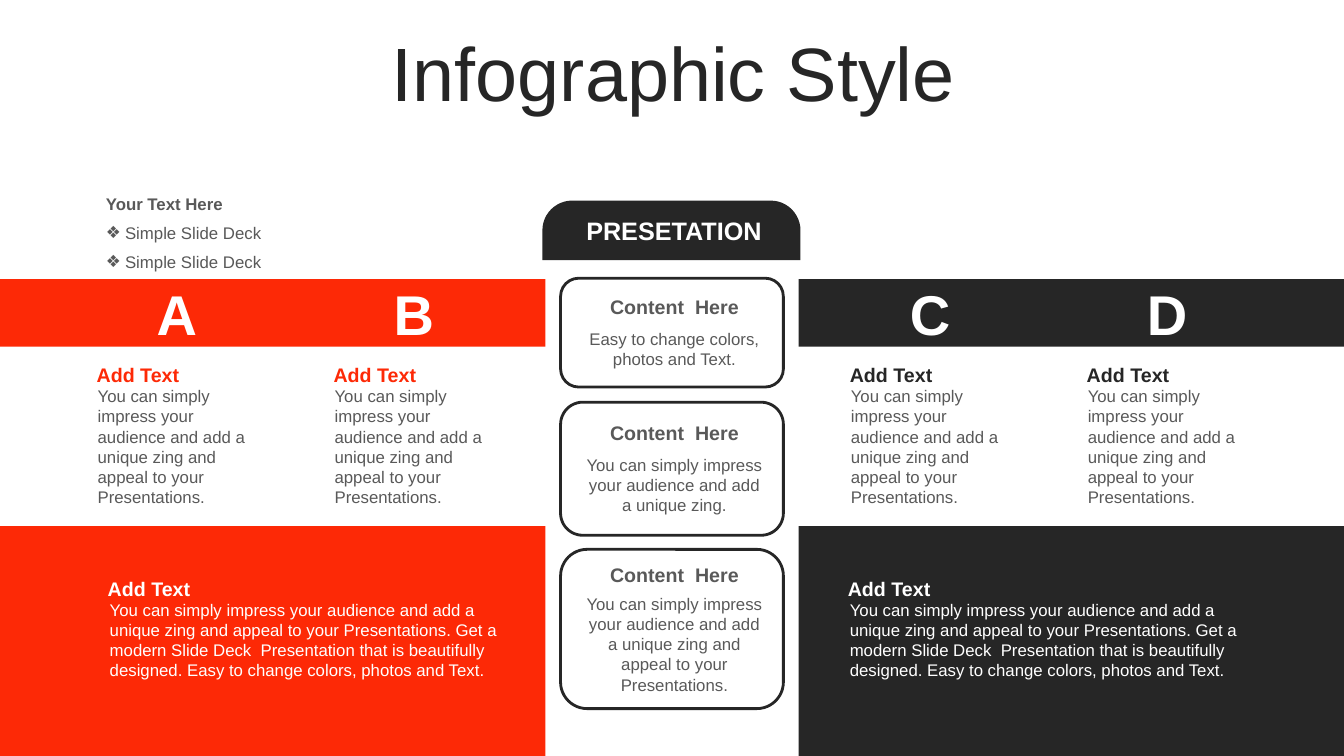
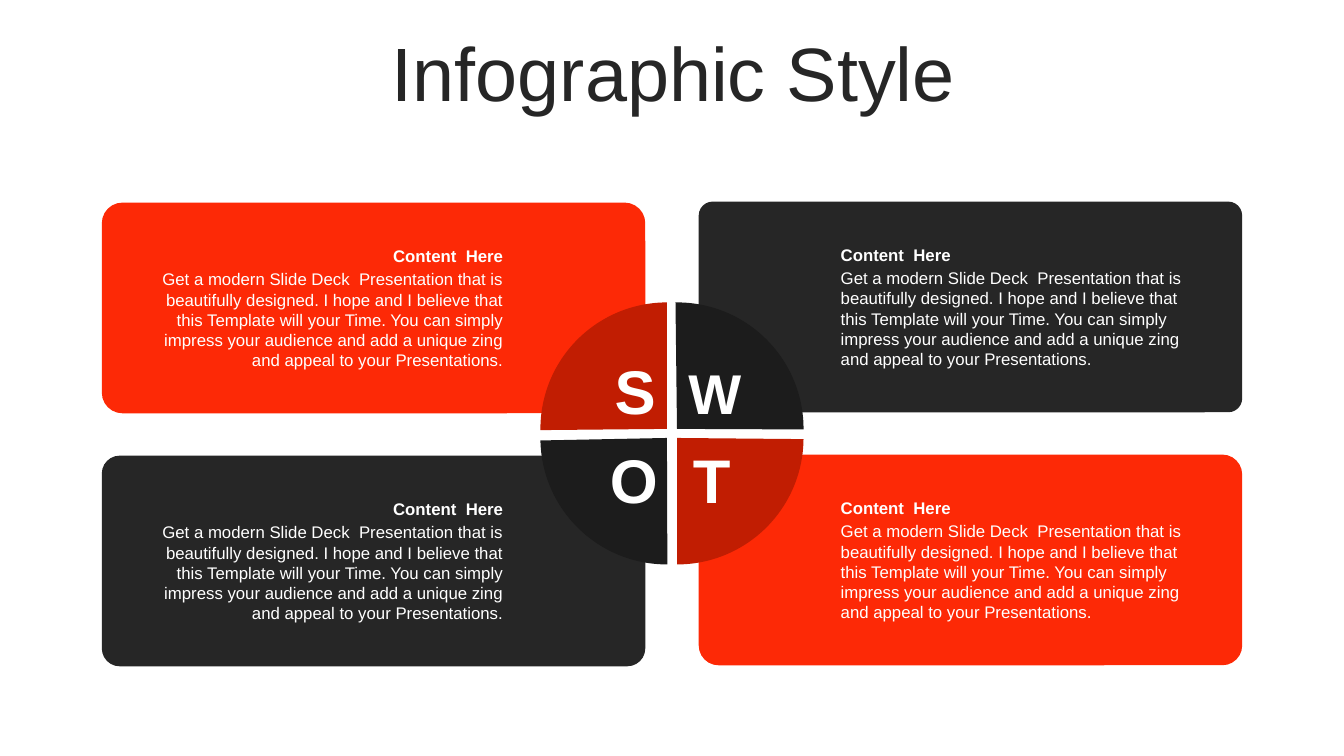
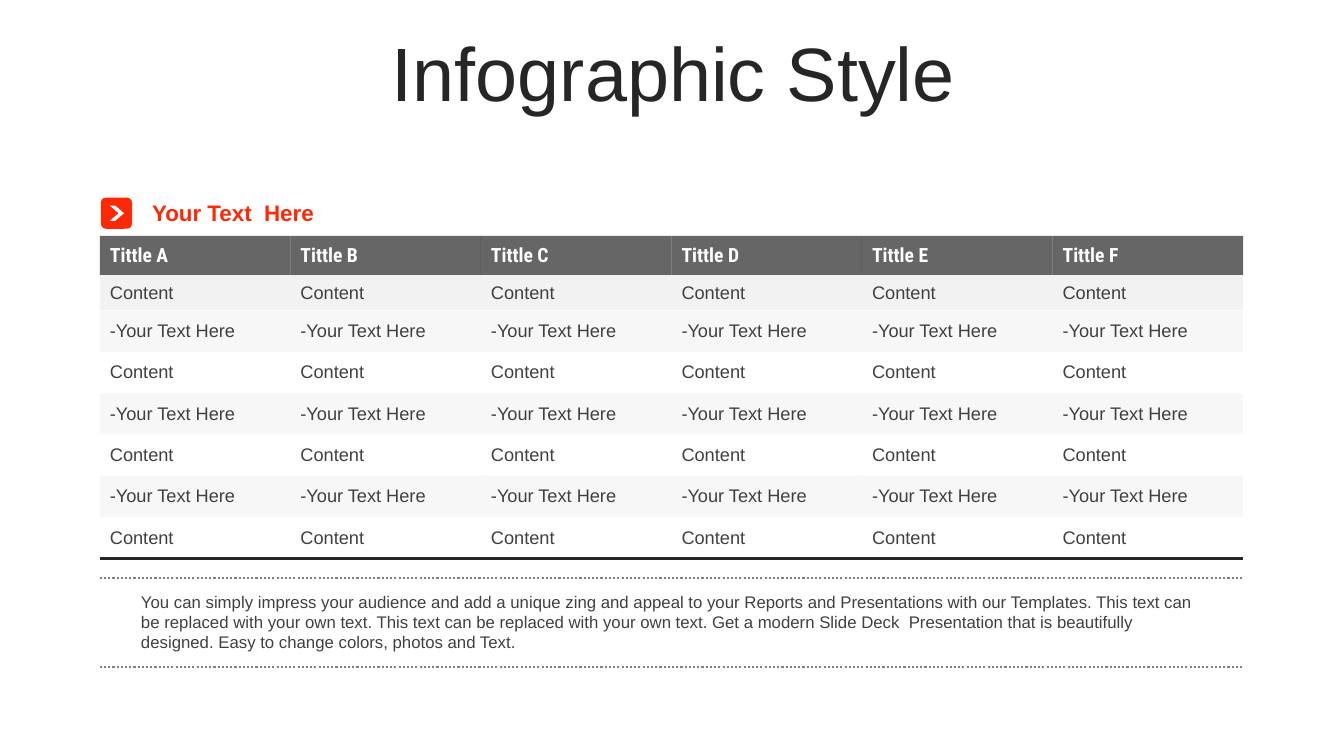
from dataclasses import dataclass

from lxml import etree
from pptx import Presentation
from pptx.dml.color import RGBColor
from pptx.enum import dml, shapes, text
from pptx.oxml.ns import qn
from pptx.util import Inches, Pt

RED = RGBColor(0xFD, 0x29, 0x06)
DARK_RED = RGBColor(0xC1, 0x1D, 0x02)
BLACK = RGBColor(0x26, 0x26, 0x26)
DEEP_BLACK = RGBColor(0x1C, 0x1C, 0x1C)
BODY_GRAY = RGBColor(0x59, 0x59, 0x59)
TABLE_GRAY = RGBColor(0x40, 0x40, 0x40)
RULE_GRAY = RGBColor(0x80, 0x80, 0x80)
ROW_GRAY = RGBColor(0xF2, 0xF2, 0xF2)
BAND_GRAY = RGBColor(0xD9, 0xD9, 0xD9)
WHITE = RGBColor(0xFF, 0xFF, 0xFF)

FONT = "Arial"
HEADER_FONT = "Roboto Condensed"
TITLE = "Infographic Style"
CONTENT_LAYOUT, TITLE_LAYOUT = 1, 5
NO_GRID_STYLE = "{2D5ABB26-0587-4C30-8999-92F81FD0307C}"

IMPRESS = "You can simply impress your audience and add a unique zing"
APPEAL = f"{IMPRESS} and appeal to your Presentations."
MODERN = "Get a modern Slide Deck  Presentation that is beautifully designed."
EASY = "Easy to change colors, photos and Text."

LEFT, CENTER, RIGHT = text.PP_ALIGN.LEFT, text.PP_ALIGN.CENTER, text.PP_ALIGN.RIGHT
TOP, MIDDLE = text.MSO_ANCHOR.TOP, text.MSO_ANCHOR.MIDDLE
SHAPE = shapes.MSO_SHAPE


@dataclass(frozen=True)
class Box:
    left: float
    top: float
    width: float
    height: float

    def lengths(self) -> tuple:
        return tuple(Inches(v) for v in (self.left, self.top, self.width, self.height))


@dataclass(frozen=True)
class Style:
    size: float = 12
    color: RGBColor = BODY_GRAY
    bold: bool = False
    align: text.PP_ALIGN = LEFT
    anchor: text.MSO_ANCHOR = TOP
    font: str = FONT


@dataclass(frozen=True)
class Card:
    """Rounded box with a centred heading and body text."""
    box: Box
    heading_top: float
    body_top: float
    body: str


@dataclass(frozen=True)
class Column:
    letter: str
    left: float
    color: RGBColor


@dataclass(frozen=True)
class Quadrant:
    """One SWOT panel with its pie slice and letter."""
    letter: str
    panel: Box
    corner: float
    color: RGBColor
    slice_color: RGBColor
    slice_left: float
    slice_top: float
    angles: tuple[float, float]
    letter_box: Box
    letter_size: int
    text_left: float
    align: text.PP_ALIGN


# Shared drawing helpers

def format_paragraph(paragraph, style: Style) -> None:
    paragraph.alignment = style.align
    for run in paragraph.runs:
        font = run.font
        font.name, font.size, font.bold = style.font, Pt(style.size), style.bold
        font.color.rgb = style.color


def add_text(slide, box: Box, content: str, style: Style, side_only: bool = False) -> None:
    frame = slide.shapes.add_textbox(*box.lengths()).text_frame
    frame.word_wrap = True
    frame.vertical_anchor = style.anchor
    if side_only:
        frame.margin_top = frame.margin_bottom = 0
    frame.text = content
    format_paragraph(frame.paragraphs[0], style)


def add_shape(slide, kind, box: Box, fill: RGBColor | None = None,
              line: RGBColor | None = None, adjustments: tuple = ()) -> None:
    shape = slide.shapes.add_shape(kind, *box.lengths())
    shape.shadow.inherit = False
    for index, value in enumerate(adjustments):
        shape.adjustments[index] = value
    if fill is None:
        shape.fill.background()
    else:
        shape.fill.solid()
        shape.fill.fore_color.rgb = fill
    if line is None:
        shape.line.fill.background()
    else:
        shape.line.color.rgb = line
        shape.line.width = Pt(2)


def add_dotted_rule(slide, left: float, top: float, width: float) -> None:
    rule = slide.shapes.add_connector(
        shapes.MSO_CONNECTOR.STRAIGHT,
        Inches(left), Inches(top), Inches(left + width), Inches(top))
    rule.line.color.rgb = RULE_GRAY
    rule.line.width = Pt(1.5)
    rule.line.dash_style = dml.MSO_LINE.ROUND_DOT
    etree.SubElement(rule.element.spPr, qn("a:effectLst"))


def add_slide(presentation, layout: int):
    slide = presentation.slides.add_slide(presentation.slide_layouts[layout])
    title = slide.shapes.title
    title.left, title.top, title.width, title.height = Box(0.35, 0.37, 12.66, 0.79).lengths()
    frame = title.text_frame
    frame.text = TITLE
    frame.auto_size = text.MSO_AUTO_SIZE.NONE
    frame.vertical_anchor = MIDDLE
    frame.paragraphs[0].line_spacing = 0.9
    format_paragraph(frame.paragraphs[0], Style(54, BLACK, align=CENTER))
    return slide


# Slide 1: lettered columns around three cards

def fill_list(placeholder) -> None:
    box = Box(0.95, 1.87, 1.91, 0.86)
    placeholder.left, placeholder.top, placeholder.width, placeholder.height = box.lengths()
    frame = placeholder.text_frame
    frame.text = "Your Text Here\nSimple Slide Deck\nSimple Slide Deck"
    frame.auto_size = text.MSO_AUTO_SIZE.NONE
    frame.vertical_anchor = TOP
    for index, paragraph in enumerate(frame.paragraphs):
        properties = paragraph._p.get_or_add_pPr()
        indent = Inches(0.19) if index else 0
        properties.set("marL", str(indent))
        properties.set("indent", str(-indent))
        if index:
            etree.SubElement(properties, qn("a:buChar")).set("char", "❖")
        else:
            etree.SubElement(properties, qn("a:buNone"))
        paragraph.space_before = Pt(6.5 if index else 0)
        format_paragraph(paragraph, Style(bold=index == 0))


def build_columns(presentation) -> None:
    slide = add_slide(presentation, CONTENT_LAYOUT)
    fill_list(slide.placeholders[1])

    # Side bands and the lower text blocks
    for left, text_left, text_width, color in ((0, 0.97, 4.26, RED), (7.92, 8.31, 4.05, BLACK)):
        for top, height in ((2.77, 0.67), (5.22, 2.28)):
            add_shape(slide, SHAPE.RECTANGLE, Box(left, top, 5.41, height), color)
        add_text(slide, Box(text_left, 5.67, text_width, 0.34), "Add Text",
                 Style(14, WHITE, True))
        add_text(slide, Box(text_left + 0.02, 5.9, text_width, 0.91),
                 f"{APPEAL} {MODERN} {EASY}", Style(color=WHITE))

    # Lettered columns
    for column in (Column("A", 0.86, RED), Column("B", 3.21, RED),
                   Column("C", 8.33, BLACK), Column("D", 10.68, BLACK)):
        add_text(slide, Box(column.left + 0.58, 2.72, 0.63, 0.77), column.letter,
                 Style(40, WHITE, True, CENTER))
        add_text(slide, Box(column.left, 3.55, 1.78, 0.34), "Add Text",
                 Style(14, column.color, True))
        add_text(slide, Box(column.left + 0.01, 3.78, 1.78, 1.31), APPEAL, Style())

    # Centre tab and cards
    add_shape(slide, SHAPE.ROUND_2_SAME_RECTANGLE, Box(5.38, 1.99, 2.56, 0.59), BLACK,
              adjustments=(0.5, 0))
    add_text(slide, Box(5.61, 2.09, 2.15, 0.4), "PRESETATION", Style(18, WHITE, True, CENTER))
    for card in (Card(Box(5.56, 2.76, 2.21, 1.08), 2.88, 3.21, EASY),
                 Card(Box(5.56, 3.99, 2.21, 1.32), 4.13, 4.46, f"{IMPRESS}."),
                 Card(Box(5.56, 5.45, 2.21, 1.58), 5.54, 5.84, APPEAL)):
        add_shape(slide, SHAPE.ROUNDED_RECTANGLE, card.box, line=BLACK)
        add_text(slide, Box(5.71, card.heading_top, 1.96, 0.34), "Content  Here",
                 Style(14, bold=True, align=CENTER))
        body_height = card.box.top + card.box.height - card.body_top - 0.1
        add_text(slide, Box(5.71, card.body_top, 1.96, body_height), card.body,
                 Style(align=CENTER))


# Slide 2: SWOT panels around a split circle

QUADRANTS = (
    Quadrant("S", Box(1.01, 2.01, 5.39, 2.09), 0.098, RED, DARK_RED, 5.36, 3,
             (179.45, 270), Box(5.97, 3.5, 0.66, 0.74), 44, 1.33, RIGHT),
    Quadrant("W", Box(6.93, 2, 5.39, 2.09), 0.066, BLACK, DEEP_BLACK, 5.46, 3,
             (269.31, 0.25), Box(6.73, 3.56, 0.66, 0.67), 40, 8.24, LEFT),
    Quadrant("O", Box(1.01, 4.52, 5.39, 2.09), 0.085, BLACK, DEEP_BLACK, 5.36, 3.09,
             (89.8, 178.86), Box(5.95, 4.38, 0.66, 0.74), 44, 1.33, RIGHT),
    Quadrant("T", Box(6.93, 4.51, 5.39, 2.09), 0.094, RED, DARK_RED, 5.46, 3.09,
             (0.53, 89.96), Box(6.73, 4.38, 0.66, 0.74), 44, 8.24, LEFT),
)


def build_swot(presentation) -> None:
    slide = add_slide(presentation, TITLE_LAYOUT)
    for quadrant in QUADRANTS:
        add_shape(slide, SHAPE.ROUNDED_RECTANGLE, quadrant.panel, quadrant.color,
                  adjustments=(quadrant.corner,))
        top = quadrant.panel.top + 0.38
        add_text(slide, Box(quadrant.text_left, top, 3.76, 0.3), "Content  Here",
                 Style(12, WHITE, True, quadrant.align, MIDDLE))
        add_text(slide, Box(quadrant.text_left, top + 0.23, 3.76, 1.11),
                 f"{MODERN} I hope and I believe that this Template will your Time. {APPEAL}",
                 Style(12, WHITE, align=quadrant.align))
    for quadrant in QUADRANTS:
        # Angles are stored in 60000ths of a degree, adjustments in 100000ths
        add_shape(slide, SHAPE.PIE, Box(quadrant.slice_left, quadrant.slice_top, 2.51, 2.51),
                  quadrant.slice_color,
                  adjustments=tuple(angle * 0.6 for angle in quadrant.angles))
        add_text(slide, quadrant.letter_box, quadrant.letter,
                 Style(quadrant.letter_size, WHITE, True, CENTER, MIDDLE), side_only=True)


# Slide 3: table with a heading and a note

def fill_cell(cell, color: RGBColor | None, opacity: int = 100) -> None:
    if color is None:
        cell.fill.background()
        return
    cell.fill.solid()
    cell.fill.fore_color.rgb = color
    if opacity < 100:
        for node in cell._tc.tcPr.iter(qn("a:srgbClr")):
            etree.SubElement(node, qn("a:alpha")).set("val", str(opacity * 1000))


def add_bottom_border(cell, color: RGBColor) -> None:
    line = etree.Element(qn("a:lnB"), w=str(Pt(2.25)))
    fill = etree.SubElement(line, qn("a:solidFill"))
    etree.SubElement(fill, qn("a:srgbClr")).set("val", str(color))
    cell._tc.get_or_add_tcPr().insert(0, line)


def add_content_table(slide) -> None:
    header = [f"Tittle {letter}" for letter in "ABCDEF"]
    heights = [0.39, 0.35] + [0.41] * 6
    frame = slide.shapes.add_table(len(heights), len(header),
                                   *Box(0.99, 2.34, 11.34, 3.2).lengths())
    table = frame.table
    table.first_row = table.horz_banding = False
    for style_id in frame.element.iter(qn("a:tableStyleId")):
        style_id.text = NO_GRID_STYLE
    for column in table.columns:
        column.width = Inches(1.89)

    for row_index, height in enumerate(heights):
        row = table.rows[row_index]
        row.height = Inches(height)
        style = Style(13, TABLE_GRAY)
        if row_index == 0:
            style = Style(14, WHITE, True, font=HEADER_FONT)
            labels, fill = header, (BLACK, 70)
        elif row_index % 2 == 0:
            labels, fill = ["-Your Text Here"] * len(header), (BAND_GRAY, 20)
        else:
            labels = ["Content"] * len(header)
            fill = (ROW_GRAY if row_index == 1 else None, 100)
        for cell, label in zip(row.cells, labels):
            cell.text = label
            cell.vertical_anchor = MIDDLE
            format_paragraph(cell.text_frame.paragraphs[0], style)
            fill_cell(cell, *fill)
            if row_index == len(heights) - 1:
                add_bottom_border(cell, BLACK)


def build_table(presentation) -> None:
    slide = add_slide(presentation, TITLE_LAYOUT)
    add_content_table(slide)

    # Heading with its arrow badge
    add_shape(slide, SHAPE.ROUNDED_RECTANGLE, Box(1, 1.96, 0.31, 0.31), RED)
    add_shape(slide, SHAPE.CHEVRON, Box(1.09, 2.04, 0.14, 0.15), WHITE, adjustments=(0.62,))
    add_text(slide, Box(1.41, 1.93, 3.02, 0.37), "Your Text  Here", Style(16, RED, True))

    # Note between dotted rules
    for top in (5.73, 6.62):
        add_dotted_rule(slide, 0.99, top, 11.34)
    replace = "This text can be replaced with your own text."
    add_text(slide, Box(1.3, 5.82, 10.75, 0.71),
             f"{IMPRESS} and appeal to your Reports and Presentations with our Templates. "
             f"{replace} {replace} {MODERN} {EASY}", Style(color=TABLE_GRAY))


def main() -> None:
    presentation = Presentation()
    presentation.slide_width = Inches(13.33)
    presentation.slide_height = Inches(7.5)
    build_columns(presentation)
    build_swot(presentation)
    build_table(presentation)
    presentation.save("out.pptx")


if __name__ == "__main__":
    main()
